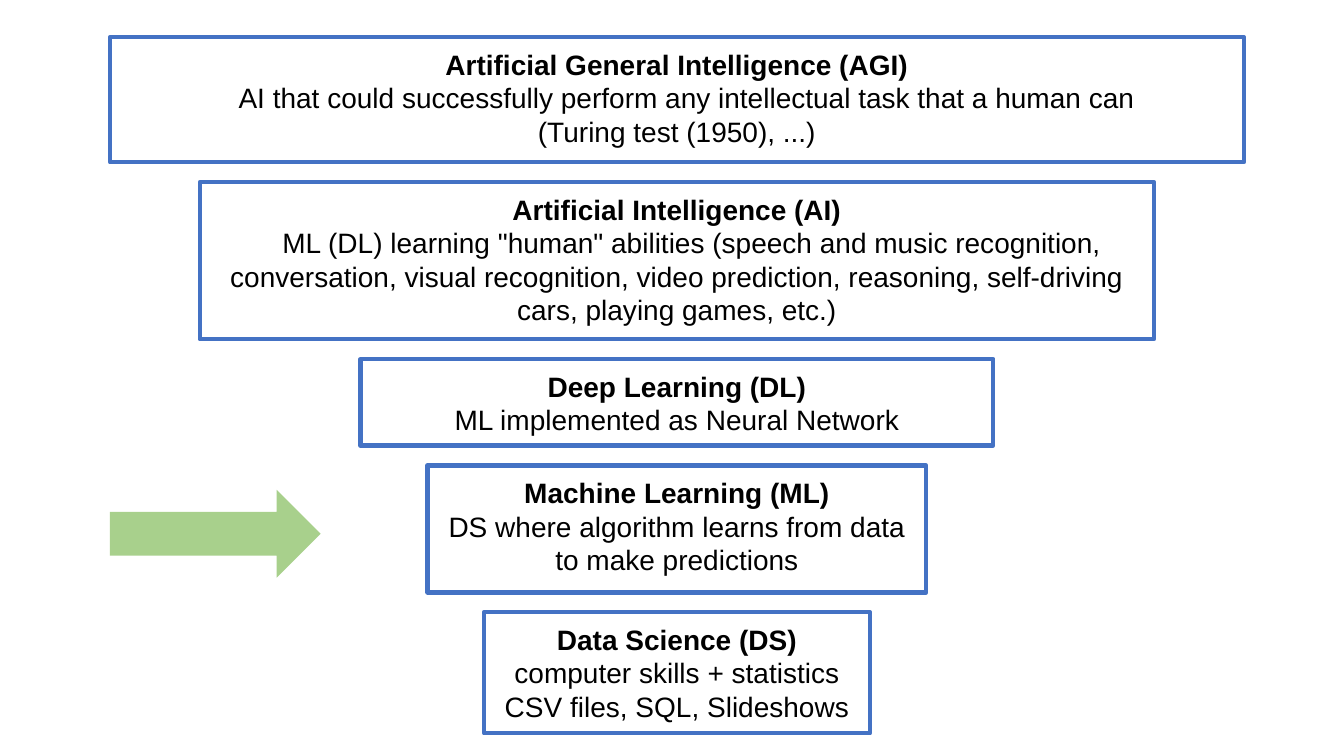
from dataclasses import dataclass

from pptx import Presentation
from pptx.dml.color import RGBColor
from pptx.enum.shapes import MSO_SHAPE
from pptx.enum.text import MSO_ANCHOR, PP_ALIGN
from pptx.util import Cm, Pt

RECTANGLE = MSO_SHAPE.RECTANGLE
RIGHT_ARROW = MSO_SHAPE.RIGHT_ARROW
CENTER = PP_ALIGN.CENTER
TOP = MSO_ANCHOR.TOP


@dataclass(frozen=True)
class Theme:
    border: RGBColor = RGBColor(0x44, 0x72, 0xC4)
    arrow: RGBColor = RGBColor(0xA8, 0xD0, 0x8C)
    text: RGBColor = RGBColor(0, 0, 0)
    font: str = "Arial"
    size: Pt = Pt(20)
    border_width: Pt = Pt(3)
    inset: Cm = Cm(0.25)


@dataclass(frozen=True)
class Level:
    width: float
    height: float
    title: str
    lines: tuple
    indent: float = 0


THEME = Theme()

LEVELS = (
    Level(28.58, 3.15, "Artificial General Intelligence (AGI)",
          ("AI that could successfully perform any intellectual task that a human can",
           "(Turing test (1950), ...)"), 0.5),
    Level(24.05, 3.96, "Artificial Intelligence (AI)",
          ('ML (DL) learning "human" abilities (speech and music recognition, '
           "conversation, visual recognition, video prediction, reasoning, "
           "self-driving cars, playing games, etc.)",), 0.75),
    Level(15.95, 2.18, "Deep Learning (DL)",
          ("ML implemented as Neural Network",)),
    Level(12.57, 3.2, "Machine Learning (ML)",
          ("DS where algorithm learns from data to make predictions",)),
    Level(9.73, 3.05, "Data Science (DS)",
          ("computer skills + statistics", "CSV files, SQL, Slideshows")),
)
HIGHLIGHTED = 3
GAP = 0.5


def write_text(paragraph, text, bold=False, indent=0):
    paragraph.alignment = CENTER
    if indent:
        properties = paragraph._p.get_or_add_pPr()
        properties.set("marL", "0")
        properties.set("indent", str(Cm(indent)))
    run = paragraph.add_run()
    run.text = text
    run.font.name = THEME.font
    run.font.size = THEME.size
    run.font.bold = bold
    run.font.color.rgb = THEME.text


def add_level(slide, level, left, top):
    shape = slide.shapes.add_shape(
        RECTANGLE, Cm(left), Cm(top), Cm(level.width), Cm(level.height))
    shape.shadow.inherit = False
    shape.fill.background()
    shape.line.color.rgb = THEME.border
    shape.line.width = THEME.border_width
    frame = shape.text_frame
    frame.word_wrap = True
    frame.vertical_anchor = TOP
    frame.margin_left = frame.margin_right = THEME.inset
    frame.margin_top = frame.margin_bottom = THEME.inset
    write_text(frame.paragraphs[0], level.title, bold=True)
    for index, line in enumerate(level.lines):
        write_text(frame.add_paragraph(), line,
                   indent=level.indent if index == 0 else 0)


def add_marker(slide, left, middle, width=5.31, height=2.21):
    shape = slide.shapes.add_shape(
        RIGHT_ARROW, Cm(left), Cm(middle - height / 2), Cm(width), Cm(height))
    shape.shadow.inherit = False
    shape.fill.solid()
    shape.fill.fore_color.rgb = THEME.arrow
    shape.line.fill.background()


def add_pyramid(slide, left, top, width):
    for index, level in enumerate(LEVELS):
        add_level(slide, level, left + (width - level.width) / 2, top)
        if index == HIGHLIGHTED:
            add_marker(slide, left, top + level.height / 2 + 0.12)
        top += level.height + GAP


def main():
    presentation = Presentation()
    presentation.slide_width = Cm(33.87)
    presentation.slide_height = Cm(19.05)
    slide = presentation.slides.add_slide(presentation.slide_layouts[6])
    add_pyramid(slide, 2.77, 0.94, 28.58)
    presentation.save("out.pptx")


if __name__ == "__main__":
    main()
